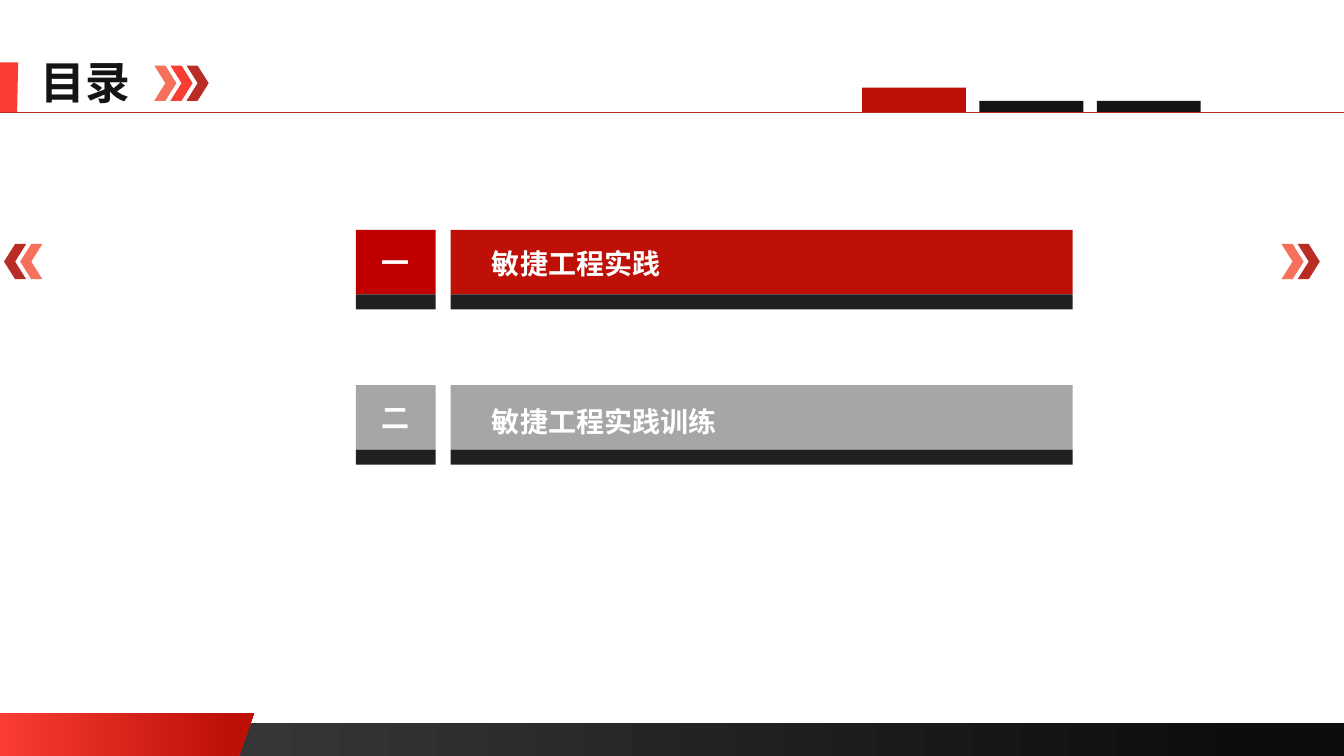
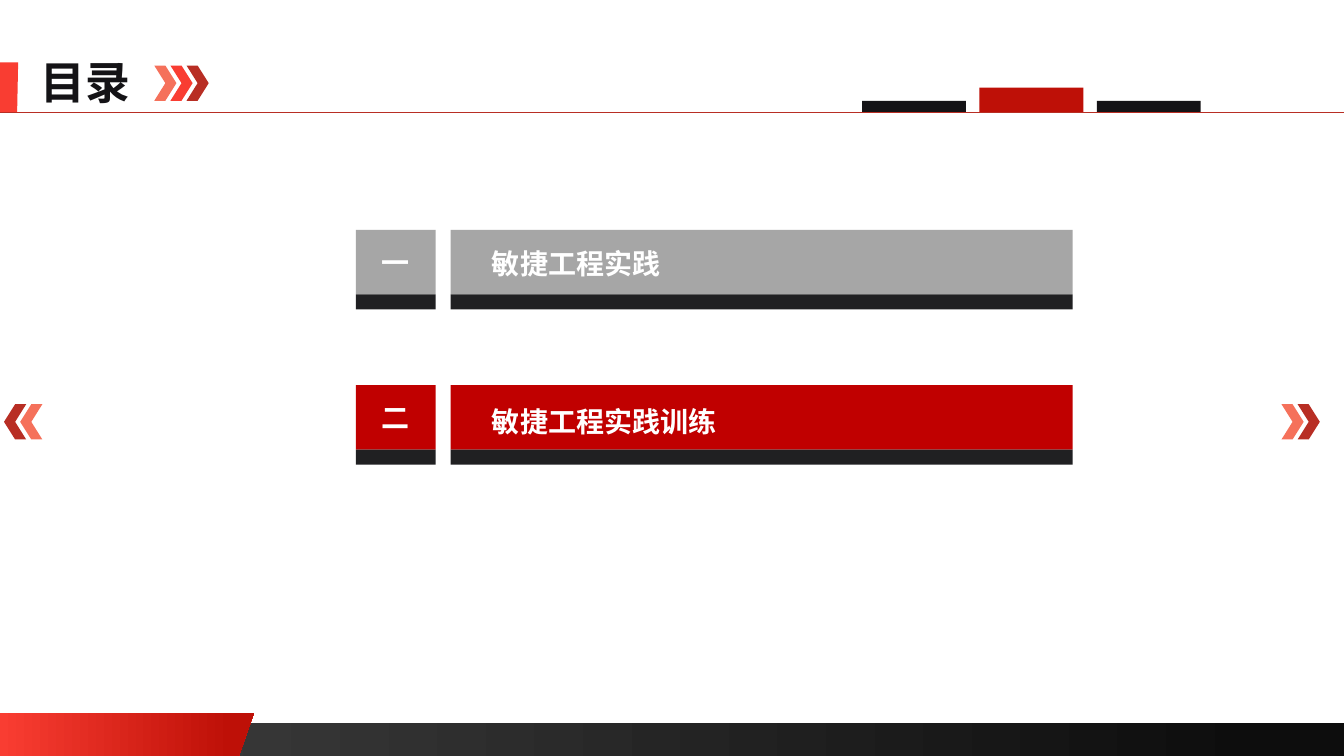
from lxml.etree import SubElement
from pptx import Presentation
from pptx.dml.color import RGBColor
from pptx.enum.shapes import MSO_CONNECTOR, MSO_SHAPE as SHAPE
from pptx.enum.text import MSO_ANCHOR as ANCHOR, MSO_AUTO_SIZE, PP_ALIGN as ALIGN
from pptx.oxml.ns import qn
from pptx.util import Inches, Pt

FONT = "Noto Sans CJK SC"
WHITE, INK, BASE, GREY = "FFFFFF", "141316", "202022", "A6A6A6"
CORAL, BRIGHT, BRICK, RED, DEEP = "F5715B", "F93D32", "B82E24", "BE1007", "C00000"


def paint(shape, *colours, end=1.0):
    """Fill with one colour, or with a left-to-right gradient of two."""
    shape.shadow.inherit = False
    shape.line.fill.background()
    if len(colours) == 1:
        shape.fill.solid()
        shape.fill.fore_color.rgb = RGBColor.from_string(colours[0])
        return
    shape.fill.gradient()
    shape.fill.gradient_angle = 0
    for stop, colour, position in zip(shape.fill.gradient_stops, colours, (0, end)):
        stop.color.rgb = RGBColor.from_string(colour)
        stop.position = position


def write(shape, text, size, colour, align, anchor):
    frame = shape.text_frame
    frame.text = text
    frame.word_wrap = False
    frame.vertical_anchor = anchor
    paragraph = frame.paragraphs[0]
    paragraph.alignment = align
    font = paragraph.font
    font.size, font.bold, font.name = Pt(size), True, FONT
    font.color.rgb = RGBColor.from_string(colour)
    # Chinese text takes its typeface from the East Asian font
    defaults = paragraph._p.pPr.find(qn("a:defRPr"))
    SubElement(defaults, qn("a:ea"), typeface=FONT)


prs = Presentation()
prs.slide_width, prs.slide_height = Inches(13.33), Inches(7.5)

# Shared layout: only the title placeholder stays
layout = prs.slide_layouts[5]
for holder in list(layout.placeholders):
    if holder.placeholder_format.idx != 0:
        holder.element.getparent().remove(holder.element)
title_holder = layout.placeholders[0]
title_holder.left, title_holder.top = Inches(0.3), Inches(0.49)
title_holder.width, title_holder.height = Inches(1.1), Inches(0.64)

# Shared band, flag, rule and title arrows, drawn once and moved to the layout
slides = [prs.slides.add_slide(layout) for _ in range(2)]
shapes = slides[0].shapes
footer = shapes.add_shape(SHAPE.RECTANGLE, 0, Inches(7.17), Inches(13.33), Inches(0.33))
paint(footer, "404040", "0D0D0D", end=0.94)
shared = [footer]

for top, bottom, top_width, bottom_width, colours in (
    (7.07, 7.5, 2.52, 2.37, (BRIGHT, RED)),
    (0.62, 1.12, 0.18, 0.17, (BRIGHT,)),
):
    outline = shapes.build_freeform(0, Inches(top))
    outline.add_line_segments([
        (Inches(top_width), Inches(top)),
        (Inches(bottom_width), Inches(bottom)),
        (0, Inches(bottom)),
    ])
    flag = outline.convert_to_shape()
    paint(flag, *colours, end=0.91)
    shared.append(flag)

rule = shapes.add_connector(MSO_CONNECTOR.STRAIGHT, 0, Inches(1.11), Inches(13.33), Inches(1.11))
rule.line.color.rgb = RGBColor.from_string(BRICK)
rule.line.width = Pt(0.5)
SubElement(rule._element.spPr, qn("a:effectLst"))
shared.append(rule)

for i, colour in enumerate((CORAL, BRIGHT, BRICK)):
    arrow = shapes.add_shape(SHAPE.CHEVRON, Inches(1.53 + 0.16 * i), Inches(0.65),
                             Inches(0.22), Inches(0.35))
    paint(arrow, colour)
    shared.append(arrow)

for part in shared:
    layout.shapes.element.append(part.element)

# Agenda slides: (number, heading, row top, downward nudge of the heading)
chapters = [("一", "敏捷工程实践", 2.28, 0.02), ("二", "敏捷工程实践训练", 3.82, 0.08)]
bar_reds = [RED, DEEP]
arrow_tops = [2.42, 4.01]

for current, slide in enumerate(slides):
    shapes = slide.shapes
    write(shapes.title, "目录", 32, INK, ALIGN.LEFT, ANCHOR.TOP)
    shapes.title.text_frame.auto_size = MSO_AUTO_SIZE.NONE

    # Arrows at both edges, level with the current chapter
    for left, colour, turn in ((12.71, CORAL, 0), (12.87, BRICK, 0),
                               (0.2, CORAL, 180), (0.04, BRICK, 180)):
        arrow = shapes.add_shape(SHAPE.CHEVRON, Inches(left), Inches(arrow_tops[current]),
                                 Inches(0.22), Inches(0.35))
        arrow.rotation = turn
        paint(arrow, colour)

    # Progress tabs standing on the rule
    for i in range(3):
        height, colour = (0.24, RED) if i == current else (0.11, INK)
        tab = shapes.add_shape(SHAPE.RECTANGLE, Inches(8.55 + 1.165 * i), Inches(1.11 - height),
                               Inches(1.03), Inches(height))
        paint(tab, colour)

    # Chapter rows: number box and heading bar, each on a dark base
    for i, (number, heading, top, nudge) in enumerate(chapters):
        active = i == current
        for left, width, text, colour, align in (
            (3.53, 0.79, number, DEEP, ALIGN.CENTER),
            (4.47, 6.17, heading, bar_reds[current], ALIGN.LEFT),
        ):
            box = shapes.add_shape(SHAPE.RECTANGLE, Inches(left), Inches(top),
                                   Inches(width), Inches(0.64))
            paint(box, colour if active else GREY)
            write(box, text, 20, WHITE, align, ANCHOR.MIDDLE)
            frame = box.text_frame
            frame.margin_top = frame.margin_bottom = 0
            if text == heading:
                frame.margin_left, frame.margin_top = Inches(0.41), Inches(nudge)
            base = shapes.add_shape(SHAPE.RECTANGLE, Inches(left), Inches(top + 0.64),
                                    Inches(width), Inches(0.15))
            paint(base, BASE)

prs.save("out.pptx")
